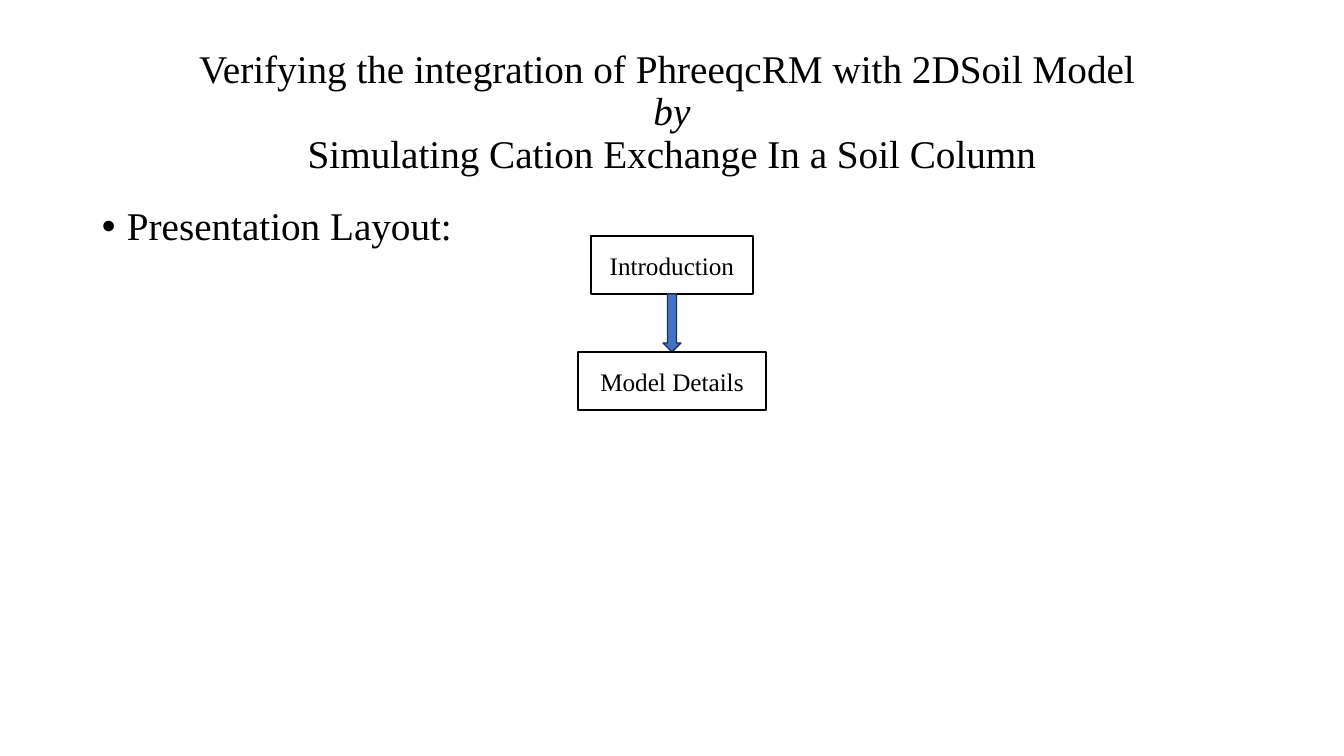
from lxml.etree import SubElement
from pptx import Presentation
from pptx.dml.color import RGBColor
from pptx.enum.shapes import MSO_SHAPE
from pptx.enum.text import MSO_ANCHOR, PP_ALIGN
from pptx.oxml.ns import qn
from pptx.util import Pt

# Content
HEADING = [
    ("Verifying the integration of PhreeqcRM with 2DSoil Model ", False),
    ("by", True),
    ("Simulating Cation Exchange In a Soil Column", False),
]
BULLET = "Presentation Layout:"
STEPS = [("Introduction", 162), ("Model Details", 188)]  # label, box width

# Layout in px
SCALE = 914400 / 100.8
SLIDE_W, SLIDE_H = 1344, 756
MARGIN = 92
HEADING_TOP, HEADING_H = 40, 146
BODY_TOP, BODY_H = 202, 480
FLOW_TOP, STEP_H, ARROW_W = 236, 58, 18
INDENT = 25

FONT = "Times New Roman"
BLACK, WHITE = "000000", "FFFFFF"
ARROW_FILL, ARROW_LINE = "4472C4", "1E3256"


def px(length):
    return round(length * SCALE)


def color(value):
    return RGBColor.from_string(value)


def style(paragraph, size):
    for run in paragraph.runs:
        run.font.name = FONT
        run.font.size = Pt(size)
        run.font.color.rgb = color(BLACK)


def add_text(slide, top, height, text, anchor):
    frame = slide.shapes.add_textbox(
        px(MARGIN), px(top), px(SLIDE_W - 2 * MARGIN), px(height)).text_frame
    frame.word_wrap = True
    frame.vertical_anchor = anchor
    paragraph = frame.paragraphs[0]
    paragraph.text = text
    paragraph.line_spacing = 0.9
    style(paragraph, 28)
    return paragraph


def add_centred(slide, kind, top, width, fill, line):
    shape = slide.shapes.add_shape(
        kind, px((SLIDE_W - width) / 2), px(top), px(width), px(STEP_H))
    shape.shadow.inherit = False
    shape.fill.solid()
    shape.fill.fore_color.rgb = color(fill)
    shape.line.color.rgb = color(line)
    shape.line.width = Pt(1)
    return shape


def main():
    deck = Presentation()
    deck.slide_width, deck.slide_height = px(SLIDE_W), px(SLIDE_H)
    slide = deck.slides.add_slide(deck.slide_layouts[6])

    # Heading
    heading = add_text(slide, HEADING_TOP, HEADING_H,
                       "\v".join(text for text, _ in HEADING), MSO_ANCHOR.MIDDLE)
    heading.alignment = PP_ALIGN.CENTER
    for run, (_, italic) in zip(heading.runs, HEADING):
        run.font.italic = italic

    # Bullet
    bullet = add_text(slide, BODY_TOP, BODY_H, BULLET, MSO_ANCHOR.TOP)
    properties = bullet._p.get_or_add_pPr()
    properties.set("marL", str(px(INDENT)))
    properties.set("indent", str(-px(INDENT)))
    SubElement(properties, qn("a:buFont"), typeface="Arial")
    SubElement(properties, qn("a:buChar"), char="•")

    # Flow of steps, with an arrow between neighbours
    for i, (label, width) in enumerate(STEPS):
        top = FLOW_TOP + 2 * i * STEP_H
        if i:
            add_centred(slide, MSO_SHAPE.DOWN_ARROW, top - STEP_H, ARROW_W,
                        ARROW_FILL, ARROW_LINE)
        step = add_centred(slide, MSO_SHAPE.RECTANGLE, top, width, WHITE, BLACK)
        step.text_frame.text = label
        step.text_frame.vertical_anchor = MSO_ANCHOR.MIDDLE
        step_label = step.text_frame.paragraphs[0]
        step_label.alignment = PP_ALIGN.CENTER
        style(step_label, 18)

    deck.save("out.pptx")


if __name__ == "__main__":
    main()
